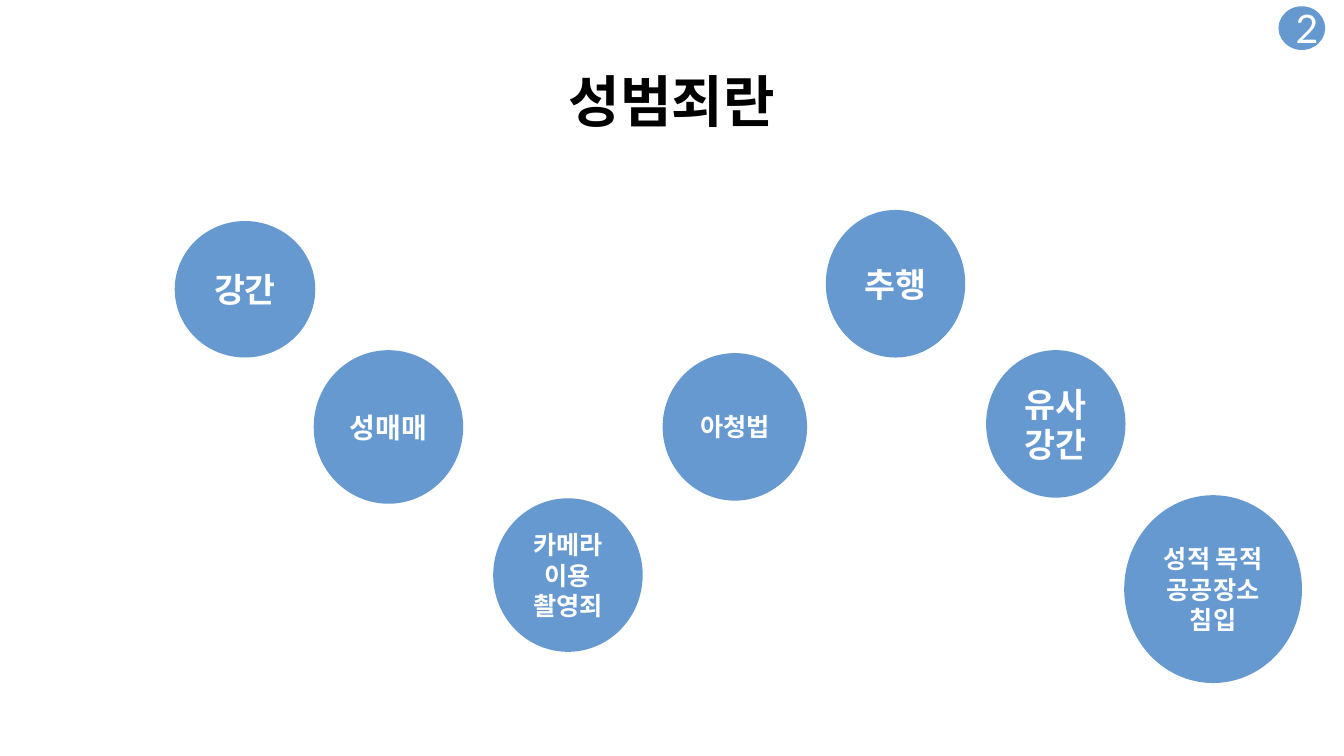
from dataclasses import dataclass

from lxml.etree import _Element
from pptx import Presentation
from pptx.dml.color import RGBColor
from pptx.enum.shapes import MSO_SHAPE
from pptx.enum.text import MSO_ANCHOR, PP_ALIGN
from pptx.slide import Slide
from pptx.text.text import TextFrame
from pptx.util import Pt

BLUE = RGBColor(0x67, 0x99, 0xD1)
WHITE = RGBColor(0xFF, 0xFF, 0xFF)
BLACK = RGBColor(0x00, 0x00, 0x00)
FONT = "Lato"


@dataclass(frozen=True)
class Circle:
    text: str
    left: float
    top: float
    width: float
    height: float
    size: float
    bold: bool = True


CIRCLES = [
    Circle("2", 913.7, 5, 32.4, 30.2, 28, bold=False),
    Circle("강간", 125.3, 158.4, 99.4, 96.5, 24),
    Circle("추행", 590.4, 150.5, 98.6, 104.4, 24),
    Circle("성매매", 224.6, 250.6, 105.8, 108.7, 20),
    Circle("아청법", 473.8, 252.7, 102.2, 104.4, 18),
    Circle("카메라 이용 촬영죄", 352.8, 356.4, 105.8, 108.7, 18),
    Circle("성적 목적 공공장소 침입", 803.5, 354.2, 126, 133.2, 18),
    Circle("유사강간", 704.9, 250.6, 98.6, 104.4, 24),
]


def write_centred(frame: TextFrame, text: str, size: float, color: RGBColor,
                  bold: bool, anchor: MSO_ANCHOR) -> None:
    frame.word_wrap = True
    frame.vertical_anchor = anchor
    para = frame.paragraphs[0]
    para.alignment = PP_ALIGN.CENTER
    span = para.add_run()
    span.text = text
    span.font.name = FONT
    span.font.size = Pt(size)
    span.font.bold = bold
    span.font.color.rgb = color


def add_title(page: Slide, text: str) -> None:
    box = page.shapes.add_textbox(Pt(120), Pt(0), Pt(720), Pt(99.4))
    write_centred(box.text_frame, text, 40, BLACK, True, MSO_ANCHOR.BOTTOM)
    box.text_frame.paragraphs[0].line_spacing = 0.9


def add_circle(page: Slide, circle: Circle) -> None:
    shape = page.shapes.add_shape(
        MSO_SHAPE.FLOWCHART_CONNECTOR, Pt(circle.left), Pt(circle.top),
        Pt(circle.width), Pt(circle.height))
    shape.shadow.inherit = False
    shape.fill.solid()
    shape.fill.fore_color.rgb = BLUE
    shape.line.color.rgb = BLUE
    shape.line.width = Pt(1)
    write_centred(shape.text_frame, circle.text, circle.size, WHITE,
                  circle.bold, MSO_ANCHOR.MIDDLE)


def main() -> None:
    deck = Presentation()
    deck.slide_width, deck.slide_height = Pt(960), Pt(540)
    page = deck.slides.add_slide(deck.slide_layouts[6])
    add_title(page, "성범죄란")
    for circle in CIRCLES:
        add_circle(page, circle)
    deck.save("out.pptx")


if __name__ == "__main__":
    main()
